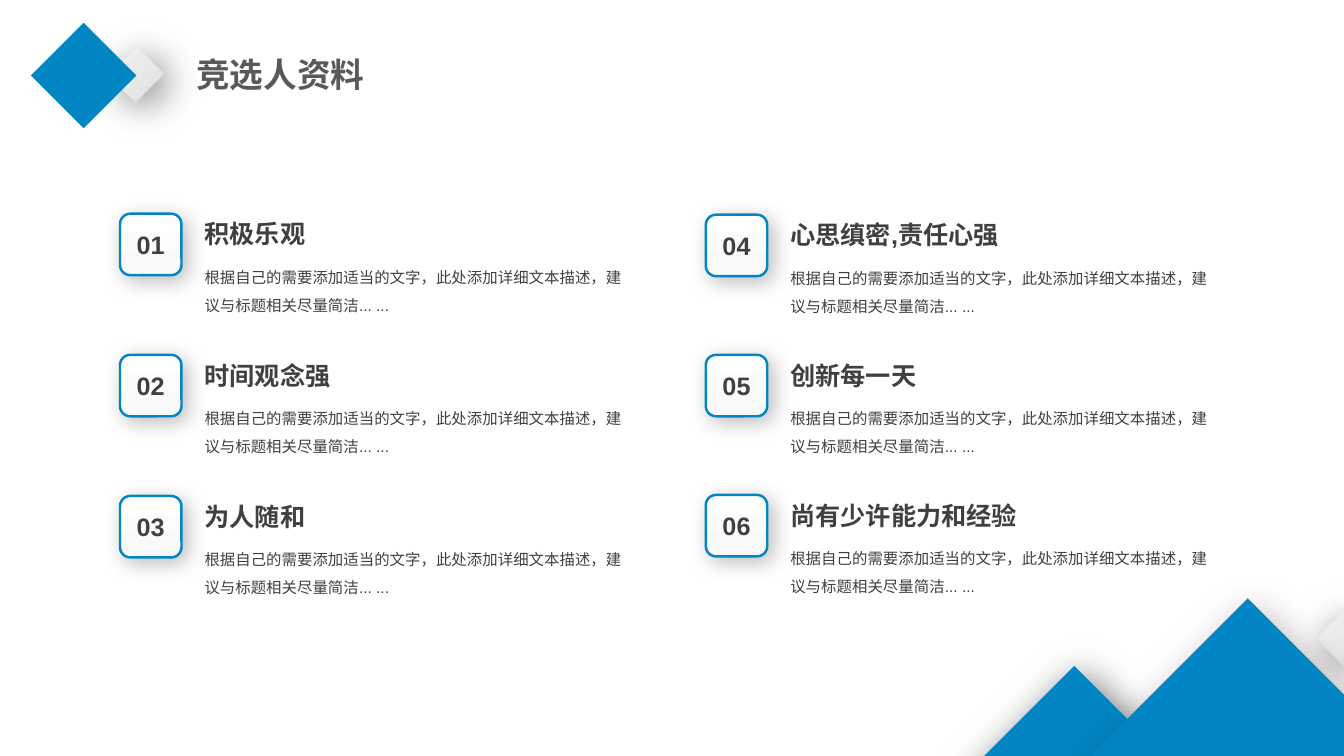
from dataclasses import dataclass

from lxml.etree import SubElement
from pptx import Presentation
from pptx.dml.color import RGBColor
from pptx.enum.shapes import MSO_SHAPE as Shape
from pptx.enum.text import MSO_ANCHOR as Anchor, PP_ALIGN as Align
from pptx.oxml.ns import qn
from pptx.util import Inches, Pt

TITLE = "竞选人资料"
BODY = "根据自己的需要添加适当的文字，此处添加详细文本描述，建议与标题相关尽量简洁... ..."
# Each column: left, top, row pitch, headings
COLUMNS = [
    (1.19, 2.12, 1.4, ["积极乐观", "时间观念强", "为人随和"]),
    (7.0, 2.13, 1.39, ["心思缜密,责任心强", "创新每一天", "尚有少许能力和经验"]),
]


@dataclass(frozen=True)
class Theme:
    font: str = "Arial"
    blue: str = "0186C3"
    ink: str = "404040"
    title_ink: str = "595959"
    silver: tuple = (("E0E0E0", 0), ("F2F2F2", 1), 180)
    badge: tuple = (("FFFFFF", 0), ("F9F9F9", 0.91), 270)
    title_size: int = 24
    heading_size: int = 18
    body_size: int = 11
    border: float = 1.75


THEME = Theme()
BADGE_SIZE = 0.61
TEXT_OFFSET = 0.74
TEXT_WIDTH = 4.48
HEADING_HEIGHT = 0.4
BODY_HEIGHT = 0.62

# Each diamond: left, top, width, height, fill, shadow (opacity %, blur pt, distance pt)
CORNER_DIAMONDS = [
    (9.85, 6.94, 1.61, 1.61, THEME.blue, (59, 28, 7)),
    (13.14, 6.13, 0.38, 0.4, THEME.silver, (51, 28, 7)),
    (11.16, 6.44, 2.43, 2.43, THEME.blue, (28, 28, 7)),
]
TITLE_DIAMONDS = [
    (1.16, 0.54, 0.38, 0.4, THEME.silver, (51, 28, 7)),
    (0.46, 0.38, 0.74, 0.74, THEME.blue, None),
]
BADGE_SHADOW = (25, 15, 5)


def rgb(color):
    return RGBColor.from_string(color)


def paint(shape, fill):
    """Fill with a colour, or with (first stop, last stop, angle)."""
    if isinstance(fill, str):
        shape.fill.solid()
        shape.fill.fore_color.rgb = rgb(fill)
        return
    *stops, angle = fill
    shape.fill.gradient()
    shape.fill.gradient_angle = angle
    for stop, (color, position) in zip(shape.fill.gradient_stops, stops):
        stop.color.rgb = rgb(color)
        stop.position = position


def cast_shadow(shape, shadow):
    shape.shadow.inherit = False
    if shadow is None:
        return
    opacity, blur, distance = shadow
    effects = shape._element.spPr.find(qn("a:effectLst"))
    outer = SubElement(effects, qn("a:outerShdw"), blurRad=str(Pt(blur)),
                       dist=str(Pt(distance)), dir=str(45 * 60000),
                       algn="tl", rotWithShape="0")
    color = SubElement(outer, qn("a:srgbClr"), val="000000")
    SubElement(color, qn("a:alpha"), val=str(opacity * 1000))


def add_block(slide, kind, left, top, width, height, fill, shadow):
    shape = slide.shapes.add_shape(
        kind, Inches(left), Inches(top), Inches(width), Inches(height))
    paint(shape, fill)
    shape.line.fill.background()
    cast_shadow(shape, shadow)
    return shape


def add_diamonds(slide, diamonds):
    for diamond in diamonds:
        add_block(slide, Shape.RECTANGLE, *diamond).rotation = 45


def write(shape, text, size, color=THEME.ink, bold=True, align=Align.LEFT,
          anchor=Anchor.TOP, spacing=None, wrap=True):
    frame = shape.text_frame
    frame.word_wrap = wrap
    frame.vertical_anchor = anchor
    paragraph = frame.paragraphs[0]
    paragraph.alignment = align
    paragraph.line_spacing = spacing
    run = paragraph.add_run()
    run.text = text
    run.font.name = THEME.font
    run.font.size = Pt(size)
    run.font.bold = bold
    run.font.color.rgb = rgb(color)
    SubElement(run.font._element, qn("a:ea"), typeface=THEME.font)


def add_text(slide, left, top, width, height, text, size, **style):
    box = slide.shapes.add_textbox(
        Inches(left), Inches(top), Inches(width), Inches(height))
    write(box, text, size, **style)


def add_item(slide, left, top, number, heading):
    text_left = left + TEXT_OFFSET
    add_text(slide, text_left, top, TEXT_WIDTH, HEADING_HEIGHT, heading,
             THEME.heading_size, anchor=Anchor.BOTTOM)
    add_text(slide, text_left, top + HEADING_HEIGHT, TEXT_WIDTH, BODY_HEIGHT, BODY,
             THEME.body_size, bold=False, spacing=1.5)
    badge = add_block(slide, Shape.ROUNDED_RECTANGLE, left, top, BADGE_SIZE,
                      BADGE_SIZE, THEME.badge, BADGE_SHADOW)
    badge.line.color.rgb = rgb(THEME.blue)
    badge.line.width = Pt(THEME.border)
    write(badge, f"{number:02}", THEME.heading_size, align=Align.CENTER,
          anchor=Anchor.MIDDLE)


def main():
    presentation = Presentation()
    presentation.slide_width = Inches(13.33)
    presentation.slide_height = Inches(7.5)
    slide = presentation.slides.add_slide(presentation.slide_layouts[6])

    add_diamonds(slide, CORNER_DIAMONDS)
    number = 0
    for left, top, pitch, headings in COLUMNS:
        for row, heading in enumerate(headings):
            number += 1
            add_item(slide, left, top + row * pitch, number, heading)
    add_diamonds(slide, TITLE_DIAMONDS)
    add_text(slide, 1.84, 0.49, 1.88, 0.5, TITLE, THEME.title_size,
             color=THEME.title_ink, align=Align.CENTER, wrap=False)
    presentation.save("out.pptx")


if __name__ == "__main__":
    main()
